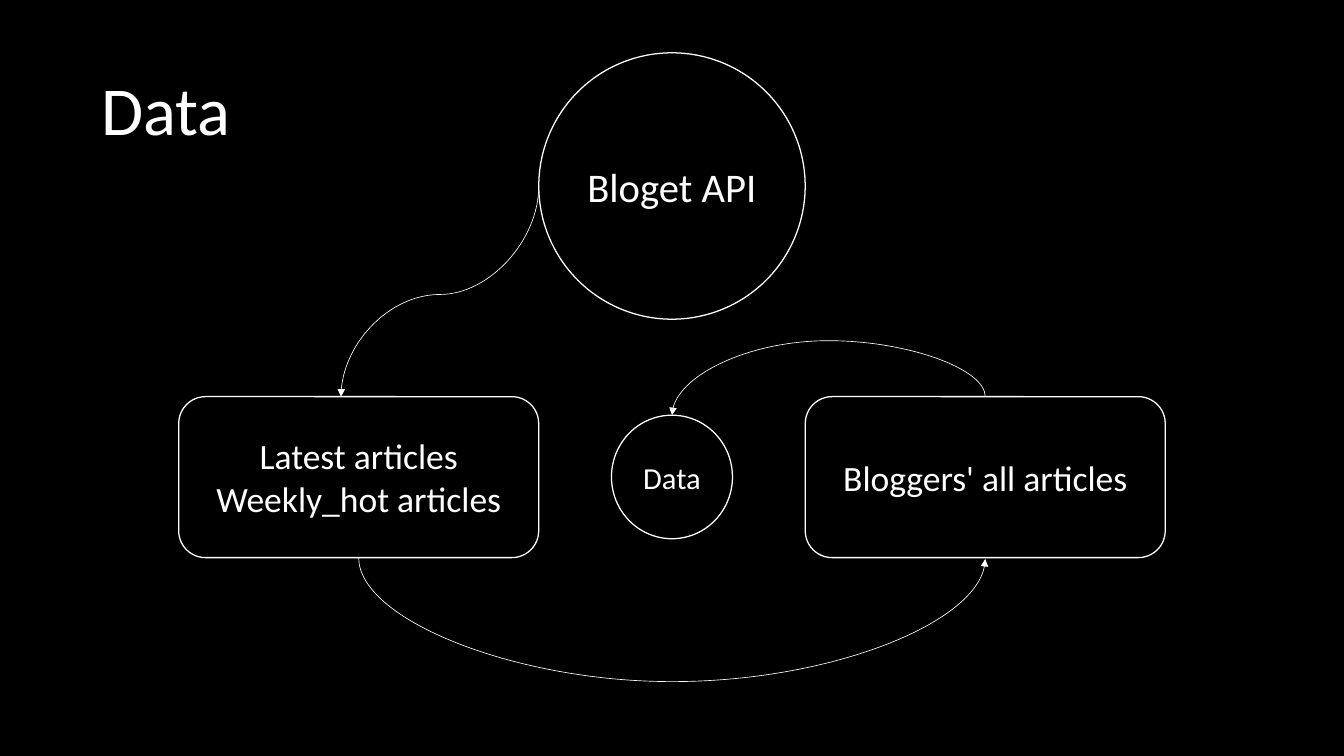
from dataclasses import dataclass

from lxml import etree
from pptx import Presentation
from pptx import util as u
from pptx.dml import color
from pptx.enum import shapes, text
from pptx.oxml import ns

WHITE, BLACK = "FFFFFF", "000000"
FONT = "Calibri"
SLIDE_WIDTH, SLIDE_HEIGHT = 1058.4, 595.44
CENTER = SLIDE_WIDTH / 2


@dataclass
class Node:
    """An outlined shape with centred text, placed by its horizontal centre."""
    kind: shapes.MSO_SHAPE
    center: float
    top: float
    width: float
    height: float
    size: float
    lines: list[str]

    @property
    def left(self) -> float:
        return self.center - self.width / 2

    @property
    def bottom(self) -> float:
        return self.top + self.height


@dataclass
class Arrow:
    """A curved arrow that leaves and arrives vertically, turning at bend."""
    start: tuple[float, float]
    end: tuple[float, float]
    bend: float


def rgb(value: str) -> color.RGBColor:
    return color.RGBColor.from_string(value)


def add_text(frame, lines: list[str], size: float, align, spacing: float = 1.0) -> None:
    frame.word_wrap = True
    frame.vertical_anchor = text.MSO_ANCHOR.MIDDLE
    for index, line in enumerate(lines):
        paragraph = frame.add_paragraph() if index else frame.paragraphs[0]
        paragraph.alignment = align
        paragraph.line_spacing = spacing
        run = paragraph.add_run()
        run.text = line
        run.font.name = FONT
        run.font.size = u.Pt(size)
        run.font.color.rgb = rgb(WHITE)


def add_node(slide, node: Node) -> None:
    shape = slide.shapes.add_shape(node.kind, u.Pt(node.left), u.Pt(node.top),
                                   u.Pt(node.width), u.Pt(node.height))
    shape.shadow.inherit = False
    shape.fill.background()
    shape.line.color.rgb = rgb(WHITE)
    shape.line.width = u.Pt(1)
    add_text(shape.text_frame, node.lines, node.size, text.PP_ALIGN.CENTER)


def add_arrow(slide, arrow: Arrow) -> None:
    (x1, y1), (x2, y2) = arrow.start, arrow.end
    middle_x, middle_y = (x1 + x2) / 2, (y1 + y2) / 2
    half_x, half_y = (x2 - x1) / 2, (y2 - y1) / 2

    # Lay the curve out horizontally, then turn it a quarter clockwise
    connector = slide.shapes.add_connector(
        shapes.MSO_CONNECTOR.CURVE,
        u.Pt(middle_x - half_y), u.Pt(middle_y + half_x),
        u.Pt(middle_x + half_y), u.Pt(middle_y - half_x))
    connector.rotation = 90
    connector.line.color.rgb = rgb(WHITE)
    connector.line.width = u.Pt(0.5)

    # Bend position, arrowhead and no shadow
    properties = connector._element.spPr
    ratio = round((arrow.bend - y1) / (y2 - y1) * 100000)
    guides = properties.find(ns.qn("a:prstGeom")).get_or_add_avLst()
    etree.SubElement(guides, ns.qn("a:gd"), name="adj1", fmla=f"val {ratio}")
    line = properties.find(ns.qn("a:ln"))
    etree.SubElement(line, ns.qn("a:tailEnd"), type="triangle")
    etree.SubElement(properties, ns.qn("a:effectLst"))


def main() -> None:
    presentation = Presentation()
    presentation.slide_width = u.Pt(SLIDE_WIDTH)
    presentation.slide_height = u.Pt(SLIDE_HEIGHT)
    slide = presentation.slides.add_slide(presentation.slide_layouts[6])
    slide.background.fill.solid()
    slide.background.fill.fore_color.rgb = rgb(BLACK)

    # Title
    title = slide.shapes.add_textbox(u.Pt(72.8), u.Pt(31.7), u.Pt(912.9), u.Pt(115.2))
    add_text(title.text_frame, ["Data"], 54, text.PP_ALIGN.LEFT, 0.9)

    # Circles on the centre line, boxes on either side
    oval, box = shapes.MSO_SHAPE.OVAL, shapes.MSO_SHAPE.ROUNDED_RECTANGLE
    offset = 246.7
    api = Node(oval, CENTER, 41.6, 209.8, 209.8, 32, ["Bloget API"])
    latest = Node(box, CENTER - offset, 312.4, 283.5, 126.8, 28,
                  ["Latest articles", "Weekly_hot articles"])
    bloggers = Node(box, CENTER + offset, 312.4, 283.5, 126.8, 28,
                    ["Bloggers' all articles"])
    data = Node(oval, CENTER, 327, 95.3, 97.3, 24, ["Data"])
    for node in (api, latest, bloggers, data):
        add_node(slide, node)

    # Flow from the API through both boxes to the data
    arrows = [
        Arrow((api.left, api.top + api.height / 2), (268.5, latest.top), 232),
        Arrow((latest.center, latest.bottom),
              (bloggers.center, bloggers.bottom + 1), 537.6),
        Arrow((bloggers.center, bloggers.top), (data.center, data.top), 268.3),
    ]
    for arrow in arrows:
        add_arrow(slide, arrow)

    presentation.save("out.pptx")


if __name__ == "__main__":
    main()
